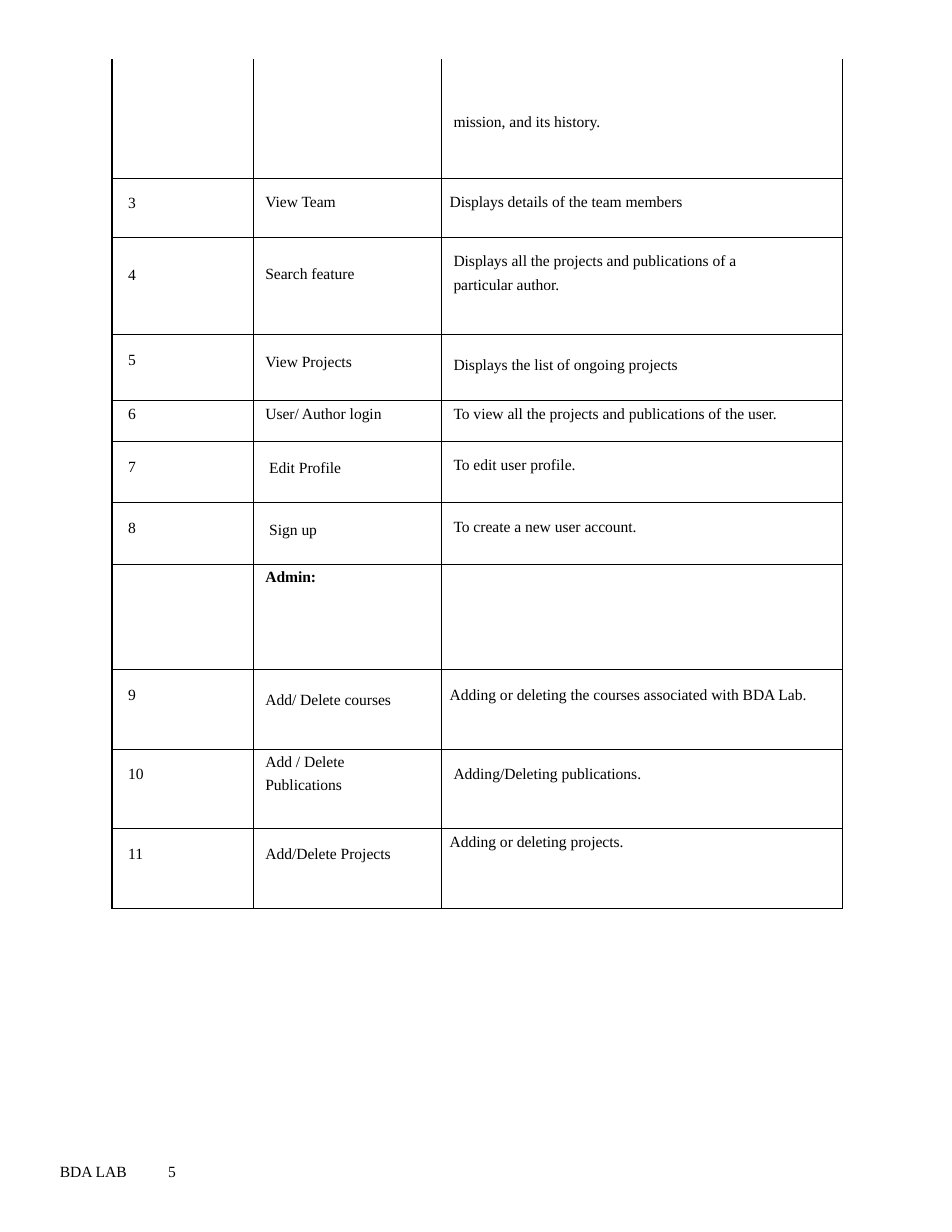
import pptx
import pptx.dml.color
import pptx.oxml
import pptx.oxml.ns
import pptx.util

Inches = pptx.util.Inches
Pt = pptx.util.Pt

BLACK = pptx.dml.color.RGBColor(0, 0, 0)
FONT = "Times New Roman"
TEXT_SIZE = Pt(10)
LINE_HEIGHT = Pt(11)
LINE_GAP = Pt(4)
BORDER = Pt(0.75)

COLUMN_WIDTHS = [1.26, 1.68, 3.58]
FLUSH, INDENT, DEEP = 5.4, 7.9, 10.4  # left insets in points

# Row height in inches, then one (text, left inset, top inset) per column;
# insets are in points and None leaves the cell empty.
ROWS = [
    (1.06, None, None, ("mission, and its history.", INDENT, 35)),
    (0.53, ("3", DEEP, 11), ("View Team", INDENT, 10),
     ("Displays details of the team members", FLUSH, 10)),
    (0.87, ("4", DEEP, 19), ("Search feature", INDENT, 18),
     ("Displays all the projects and publications of a\nparticular author.", INDENT, 10)),
    (0.59, ("5", DEEP, 11), ("View Projects", INDENT, 12),
     ("Displays the list of ongoing projects", INDENT, 14)),
    (0.36, ("6", DEEP, 3), ("User/ Author login", INDENT, 3),
     ("To view all the projects and publications of the user.", INDENT, 3)),
    (0.55, ("7", DEEP, 11), ("Edit Profile", DEEP, 12),
     ("To edit user profile.", INDENT, 10)),
    (0.55, ("8", DEEP, 11), ("Sign up", DEEP, 12),
     ("To create a new user account.", INDENT, 10)),
    (0.94, None, ("Admin:", INDENT, 3), None),
    (0.71, ("9", DEEP, 11), ("Add/ Delete courses", INDENT, 14),
     ("Adding or deleting the courses associated with BDA Lab.", FLUSH, 11)),
    (0.71, ("10", DEEP, 11), ("Add / Delete\nPublications", INDENT, 3),
     ("Adding/Deleting publications.", INDENT, 11)),
    (0.71, ("11", DEEP, 11), ("Add/Delete Projects", INDENT, 11),
     ("Adding or deleting projects.", FLUSH, 3)),
]


def write_lines(frame, text, bold=False):
    """Write each line of text as its own paragraph."""
    for index, line in enumerate(text.split("\n")):
        para = frame.add_paragraph() if index else frame.paragraphs[0]
        para.line_spacing = LINE_HEIGHT
        if index:
            para.space_before = LINE_GAP
        span = para.add_run()
        span.text = line
        span.font.name = FONT
        span.font.size = TEXT_SIZE
        span.font.bold = bold
        span.font.color.rgb = BLACK


def set_borders(cell, open_top):
    properties = cell._tc.get_or_add_tcPr()
    namespace = pptx.oxml.ns.nsdecls("a")
    for side in "LRTB":
        if side == "T" and open_top:
            paint = "<a:noFill/>"
        else:
            paint = f'<a:solidFill><a:srgbClr val="{BLACK}"/></a:solidFill>'
        properties.append(pptx.oxml.parse_xml(
            f'<a:ln{side} {namespace} w="{BORDER}">{paint}</a:ln{side}>'))


def fill_cell(cell, content, open_top):
    cell.margin_left = cell.margin_right = cell.margin_top = cell.margin_bottom = 0
    set_borders(cell, open_top)
    cell.fill.background()
    if content:
        text, left, top = content
        cell.margin_left = Pt(left)
        cell.margin_top = Pt(top)
        write_lines(cell.text_frame, text, bold=text == "Admin:")


def add_feature_table(page):
    height = sum(row[0] for row in ROWS)
    table = page.shapes.add_table(
        len(ROWS), len(COLUMN_WIDTHS), Inches(1), Inches(0.53),
        Inches(sum(COLUMN_WIDTHS)), Inches(height)).table
    table.first_row = False
    table.horz_banding = False
    for column, width in zip(table.columns, COLUMN_WIDTHS):
        column.width = Inches(width)
    for row_index, (row_height, *contents) in enumerate(ROWS):
        table.rows[row_index].height = Inches(row_height)
        for column_index, content in enumerate(contents):
            fill_cell(table.cell(row_index, column_index), content, row_index == 0)


def add_footer(page):
    box = page.shapes.add_textbox(Inches(0.5), Inches(10.39), Inches(7.55), Inches(0.16))
    frame = box.text_frame
    frame.word_wrap = True
    frame.margin_left = frame.margin_right = frame.margin_top = frame.margin_bottom = 0
    write_lines(frame, " BDA LAB\t5")


def main():
    deck = pptx.Presentation()
    deck.slide_width = Inches(8.5)
    deck.slide_height = Inches(11)
    page = deck.slides.add_slide(deck.slide_layouts[6])
    add_footer(page)
    add_feature_table(page)
    deck.save("out.pptx")


if __name__ == "__main__":
    main()
